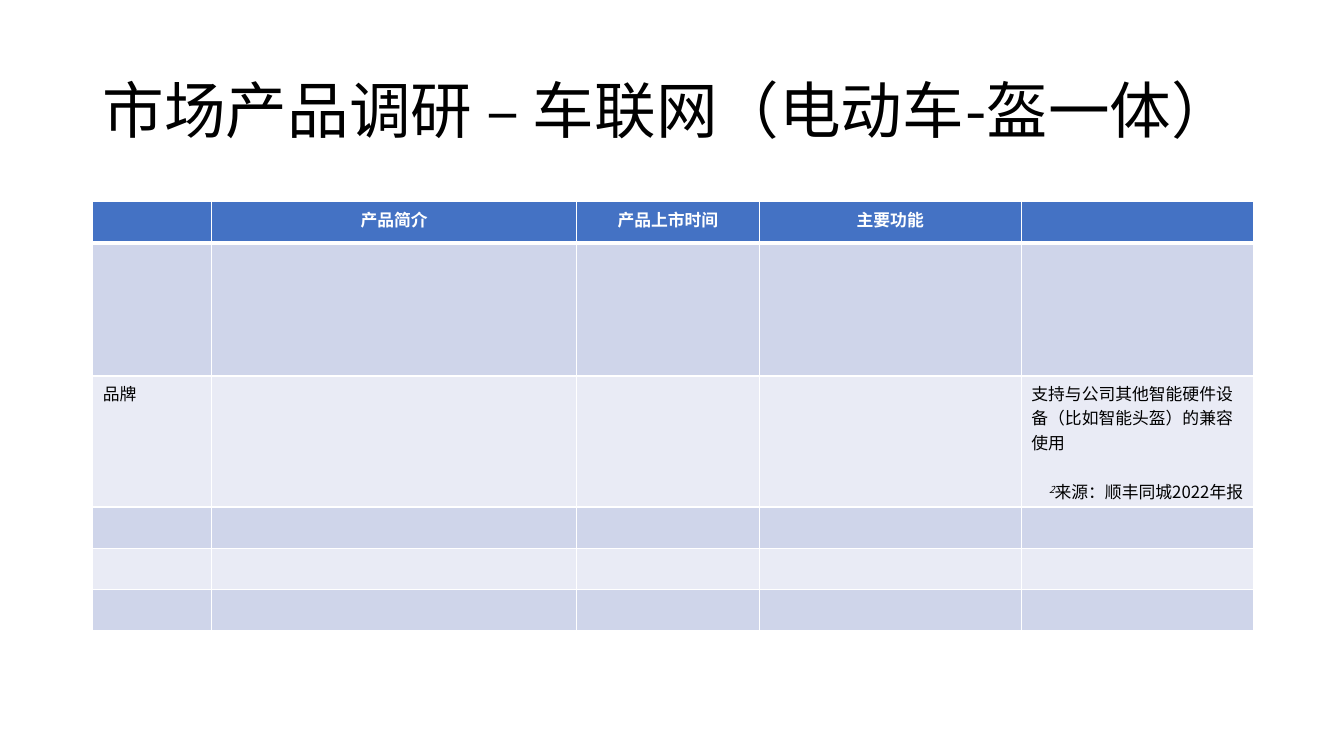
from lxml import etree
from pptx import Presentation
from pptx.dml.color import RGBColor
from pptx.enum.text import MSO_ANCHOR, PP_ALIGN
from pptx.oxml.ns import qn
from pptx.util import Inches, Pt

FONT = "Noto Sans CJK SC"
COLORS = {"text": "000000", "white": "FFFFFF", "header": "4472C4",
          "odd": "CFD5EA", "even": "E9EBF5"}
LEFT, RIGHT = PP_ALIGN.LEFT, PP_ALIGN.RIGHT
CENTER = PP_ALIGN.CENTER
MIDDLE = MSO_ANCHOR.MIDDLE

TITLE = "市场产品调研 – 车联网（电动车-盔一体）"
HEADERS = ["", "产品简介", "产品上市时间", "主要功能", ""]
BRAND = "品牌"
FEATURE = "支持与公司其他智能硬件设备（比如智能头盔）的兼容使用"
FOOTNOTE_MARK, FOOTNOTE = "2", "来源：顺丰同城2022年报"

SLIDE_SIZE = (13.33, 7.5)
MARGIN, CONTENT_WIDTH = 0.92, 11.5
TITLE_TOP, TITLE_HEIGHT = 0.4, 1.45
TABLE_TOP = 2
COLUMNS = [1.18, 3.62, 1.81, 2.6, 2.3]
ROWS = [0.41, 1.32, 1.3, 0.41, 0.41, 0.41]
BODY_SIZE, TITLE_SIZE = 12, 44
FOOTNOTE_GAP = 17.5


def add_run(paragraph, text, size=BODY_SIZE, color="text", bold=False):
    run = paragraph.add_run()
    run.text = text
    font = run.font
    font.size, font.bold, font.name = Pt(size), bold, FONT
    font.color.rgb = RGBColor.from_string(COLORS[color])
    etree.SubElement(run._r.get_or_add_rPr(), qn("a:ea"), typeface=FONT)
    return run


def style_cell(cell, fill, bottom_width, top_width):
    properties = cell._tc.get_or_add_tcPr()
    widths = {"a:lnL": 1, "a:lnR": 1, "a:lnT": top_width, "a:lnB": bottom_width}
    for side, width in widths.items():
        line = etree.SubElement(properties, qn(side), w=str(Pt(width)))
        solid = etree.SubElement(line, qn("a:solidFill"))
        etree.SubElement(solid, qn("a:srgbClr"), val=COLORS["white"])
    cell.fill.solid()
    cell.fill.fore_color.rgb = RGBColor.from_string(COLORS[fill])


def add_title(slide):
    box = slide.shapes.add_textbox(Inches(MARGIN), Inches(TITLE_TOP),
                                   Inches(CONTENT_WIDTH), Inches(TITLE_HEIGHT))
    frame = box.text_frame
    frame.word_wrap = True
    frame.vertical_anchor = MIDDLE
    paragraph = frame.paragraphs[0]
    paragraph.alignment = LEFT
    paragraph.line_spacing = 0.9
    add_run(paragraph, TITLE, TITLE_SIZE)


def add_research_table(slide):
    frame = slide.shapes.add_table(len(ROWS), len(COLUMNS), Inches(MARGIN),
                                   Inches(TABLE_TOP), Inches(CONTENT_WIDTH),
                                   Inches(sum(ROWS)))
    table = frame.table
    table.horz_banding = False
    for column, width in zip(table.columns, COLUMNS):
        column.width = Inches(width)
    for index, (row, height) in enumerate(zip(table.rows, ROWS)):
        row.height = Inches(height)
        fill = "header" if index == 0 else "odd" if index % 2 else "even"
        for cell in row.cells:
            style_cell(cell, fill, bottom_width=3 if index == 0 else 1,
                       top_width=3 if index == 1 else 1)

    for column, header in enumerate(HEADERS):
        if header:
            paragraph = table.cell(0, column).text_frame.paragraphs[0]
            paragraph.alignment = CENTER
            add_run(paragraph, header, color="white", bold=True)

    add_run(table.cell(2, 0).text_frame.paragraphs[0], BRAND)
    feature_frame = table.cell(2, len(COLUMNS) - 1).text_frame
    add_run(feature_frame.paragraphs[0], FEATURE)
    source = feature_frame.add_paragraph()
    source.alignment = RIGHT
    source.space_before = Pt(FOOTNOTE_GAP)
    mark = add_run(source, FOOTNOTE_MARK)
    mark.font.italic = True
    mark._r.get_or_add_rPr().set("baseline", "30000")
    add_run(source, FOOTNOTE)


def main():
    presentation = Presentation()
    presentation.slide_width, presentation.slide_height = map(Inches, SLIDE_SIZE)
    slide = presentation.slides.add_slide(presentation.slide_layouts[6])
    add_title(slide)
    add_research_table(slide)
    presentation.save("out.pptx")


if __name__ == "__main__":
    main()
